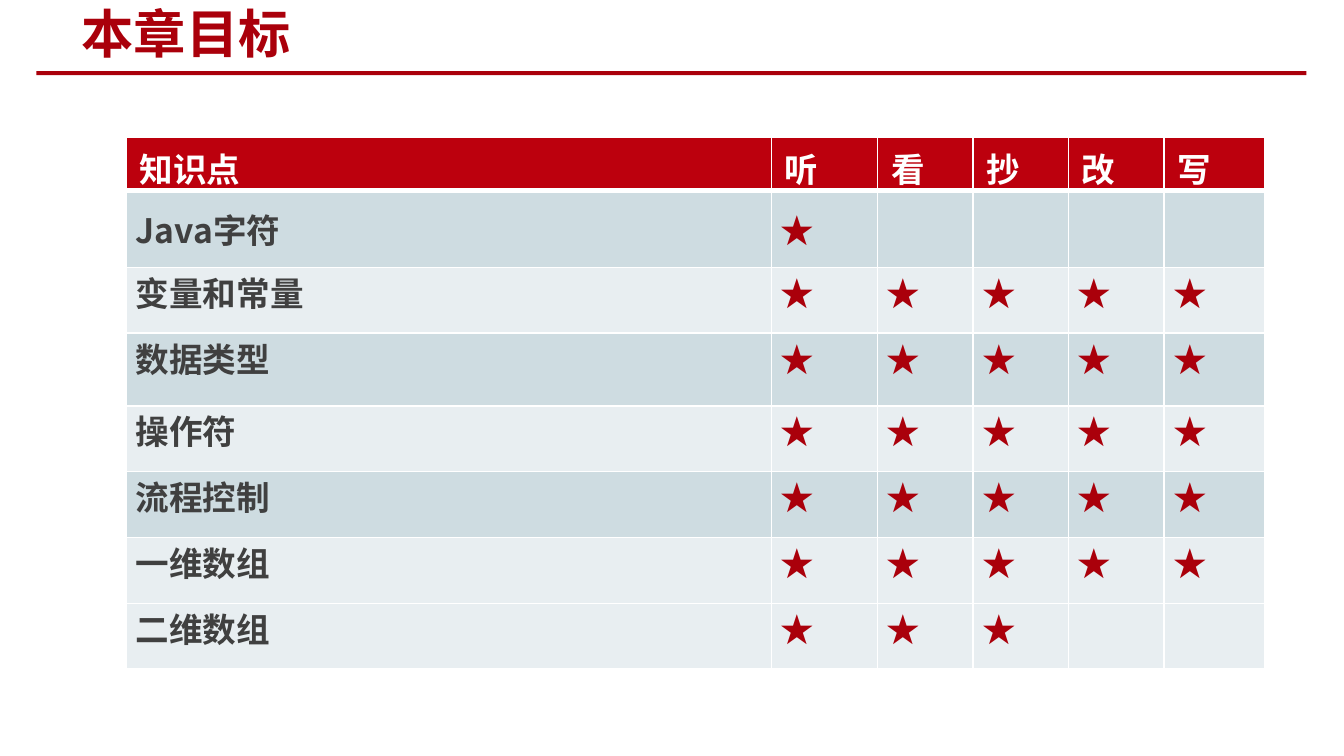
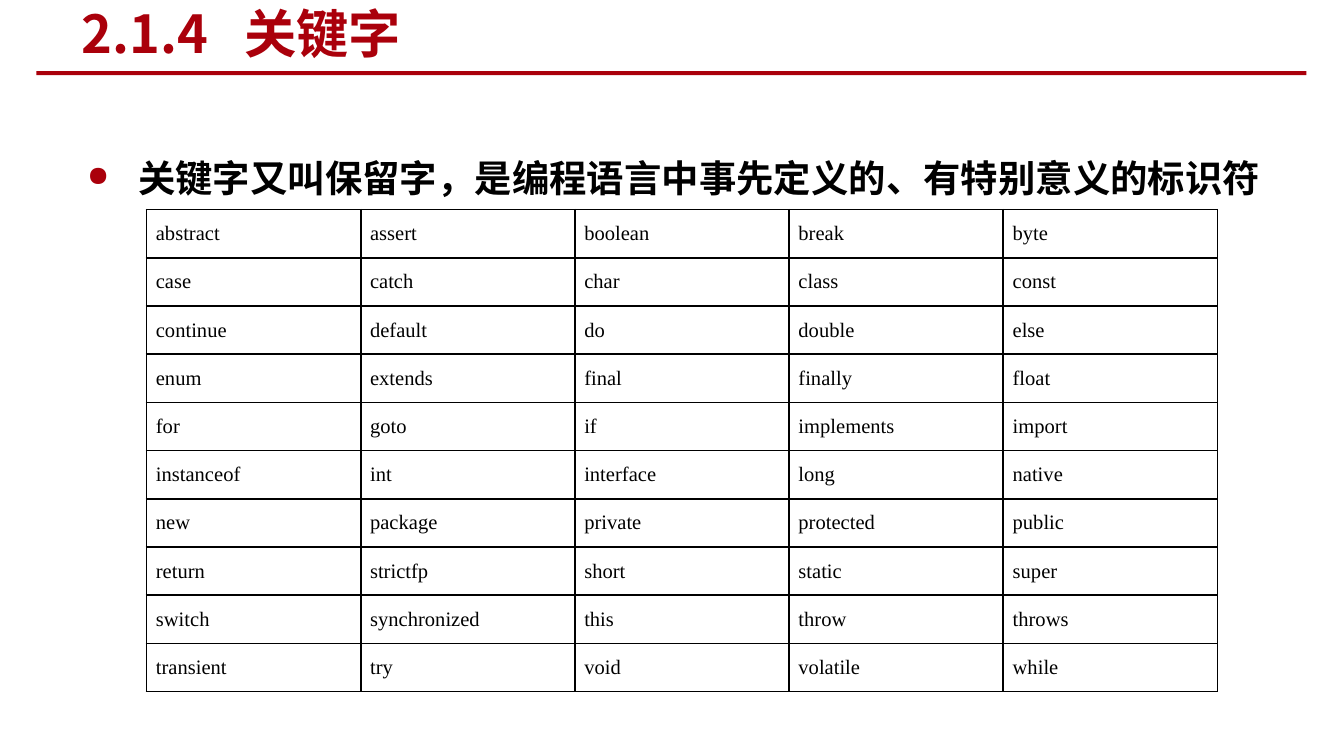
from pptx import Presentation
from pptx.dml.color import RGBColor
from pptx.enum.shapes import MSO_SHAPE as Shape
from pptx.enum.text import MSO_ANCHOR as Anchor, PP_ALIGN as Align
from pptx.oxml.ns import qn
from pptx.util import Inches, Pt
from lxml.etree import SubElement as Sub

# Shared look
SANS, SERIF = "Noto Sans CJK SC", "Times New Roman"
RED, HEAD, GREY = "AA000B", "BC000D", "404040"
WHITE, BLACK = "FFFFFF", "000000"
DARK, LIGHT = "CEDCE1", "E8EEF1"

# Slide 1: topics and the number of stars each one earns
SKILLS = ["知识点", "听", "看", "抄", "改", "写"]
TOPICS = [("Java字符", 1), ("变量和常量", 5), ("数据类型", 5), ("操作符", 5),
          ("流程控制", 5), ("一维数组", 5), ("二维数组", 3)]
SHADES = [DARK, LIGHT, DARK, LIGHT, DARK, LIGHT, LIGHT]

# Slide 2: keywords, five to a row
WORDS = """
abstract assert boolean break byte
case catch char class const
continue default do double else
enum extends final finally float
for goto if implements import
instanceof int interface long native
new package private protected public
return strictfp short static super
switch synchronized this throw throws
transient try void volatile while
""".split()


def color(code):
    return RGBColor.from_string(code)


def write(frame, text, size=18, font=SANS, ink=BLACK, bold=True,
          align=Align.LEFT, space=None, bullet=None, tab=None):
    """Put one formatted paragraph in a text frame."""
    para = frame.paragraphs[0]
    para.alignment = align
    if space:
        para.line_spacing = space
    props = para._p.get_or_add_pPr()
    if bullet:
        props.set("marL", str(Inches(0.38)))
        props.set("indent", str(-Inches(0.38)))
        tint = Sub(props, qn("a:buClr"))
        Sub(tint, qn("a:srgbClr"), val=RED)
        Sub(props, qn("a:buSzPct"), val="75000")
        Sub(props, qn("a:buChar"), char=bullet)
    if tab:
        stops = Sub(props, qn("a:tabLst"))
        Sub(stops, qn("a:tab"), pos=str(Inches(tab)), algn="l")
    run = para.add_run()
    run.text = text
    run.font.size, run.font.bold, run.font.name = Pt(size), bold, font
    run.font.color.rgb = color(ink)
    Sub(run._r.get_or_add_rPr(), qn("a:ea"), typeface=font)


def add_text(slide, box, text, anchor=Anchor.TOP, **form):
    frame = slide.shapes.add_textbox(*map(Inches, box)).text_frame
    frame.word_wrap = True
    frame.vertical_anchor = anchor
    write(frame, text, **form)


def add_page(deck, title, **form):
    """Add a blank slide with the red rule and the title."""
    slide = deck.slides.add_slide(deck.slide_layouts[6])
    rule = slide.shapes.add_shape(
        Shape.RECTANGLE, *map(Inches, (0.27, 0.53, 9.45, 0.03)))
    rule.shadow.inherit = False
    rule.fill.solid()
    rule.fill.fore_color.rgb = color(RED)
    rule.line.fill.background()
    add_text(slide, (0.51, 0.02, 5.3, 0.45), title, Anchor.MIDDLE,
             size=28, ink=RED, **form)
    return slide


def add_grid(slide, left, top, cols, rows):
    shape = slide.shapes.add_table(
        len(rows), len(cols), Inches(left), Inches(top),
        Inches(sum(cols)), Inches(sum(rows)))
    grid = shape.table
    grid.first_row = grid.horz_banding = False
    for col, width in zip(grid.columns, cols):
        col.width = Inches(width)
    for row, height in zip(grid.rows, rows):
        row.height = Inches(height)
    return grid


def set_cell(cell, text, edge, fill=None, anchor=Anchor.TOP,
             pad=(0.07, 0), top=1, base=1, **form):
    """Set borders, fill, margins and text of one cell."""
    props = cell._tc.get_or_add_tcPr()
    for side, width in zip("LRTB", (1, 1, top, base)):
        line = Sub(props, qn("a:ln" + side), w=str(Pt(width)))
        paint = Sub(line, qn("a:solidFill"))
        Sub(paint, qn("a:srgbClr"), val=edge)
    if fill:
        cell.fill.solid()
        cell.fill.fore_color.rgb = color(fill)
    else:
        cell.fill.background()
    cell.margin_left = cell.margin_right = Inches(pad[0])
    cell.margin_top = cell.margin_bottom = Inches(pad[1])
    cell.vertical_anchor = anchor
    if text:
        write(cell.text_frame, text, **form)


def add_goals(deck):
    slide = add_page(deck, "本章目标")
    grid = add_grid(slide, 0.94, 1.02, [4.8, 0.79, 0.71, 0.71, 0.71, 0.75],
                    [0.4, 0.57, 0.49, 0.54] + [0.49] * 4)
    for col, skill in enumerate(SKILLS):
        set_cell(grid.cell(0, col), skill, WHITE, HEAD, pad=(0.1, 0.05),
                 base=3, ink=WHITE)
    for row, ((topic, stars), shade) in enumerate(zip(TOPICS, SHADES), 1):
        first = row == 1
        for col in range(len(SKILLS)):
            mark = "★" if col <= stars else ""
            set_cell(grid.cell(row, col), mark if col else topic, WHITE, shade,
                     anchor=Anchor.MIDDLE if first else Anchor.TOP,
                     top=3 if first else 1, ink=RED if col else GREY)


def add_words(deck):
    slide = add_page(deck, "2.1.4\t关键字", tab=1.21)
    add_text(slide, (0.55, 0.94, 8.98, 4.1),
             "关键字又叫保留字，是编程语言中事先定义的、有特别意义的标识符",
             size=20, space=1.5, bullet="●")
    count = 5
    tall = len(WORDS) // count
    grid = add_grid(slide, 1.09, 1.56, [7.97 / count] * count,
                    [3.59 / tall] * tall)
    for spot, word in enumerate(WORDS):
        set_cell(grid.cell(*divmod(spot, count)), word, BLACK,
                 anchor=Anchor.MIDDLE, size=11, font=SERIF, bold=False,
                 align=Align.JUSTIFY)


def main():
    deck = Presentation()
    # Widescreen, 16 to 9
    deck.slide_width = Inches(10)
    deck.slide_height = Inches(10 * 9 / 16)
    add_goals(deck)
    add_words(deck)
    deck.save("out.pptx")


if __name__ == "__main__":
    main()
